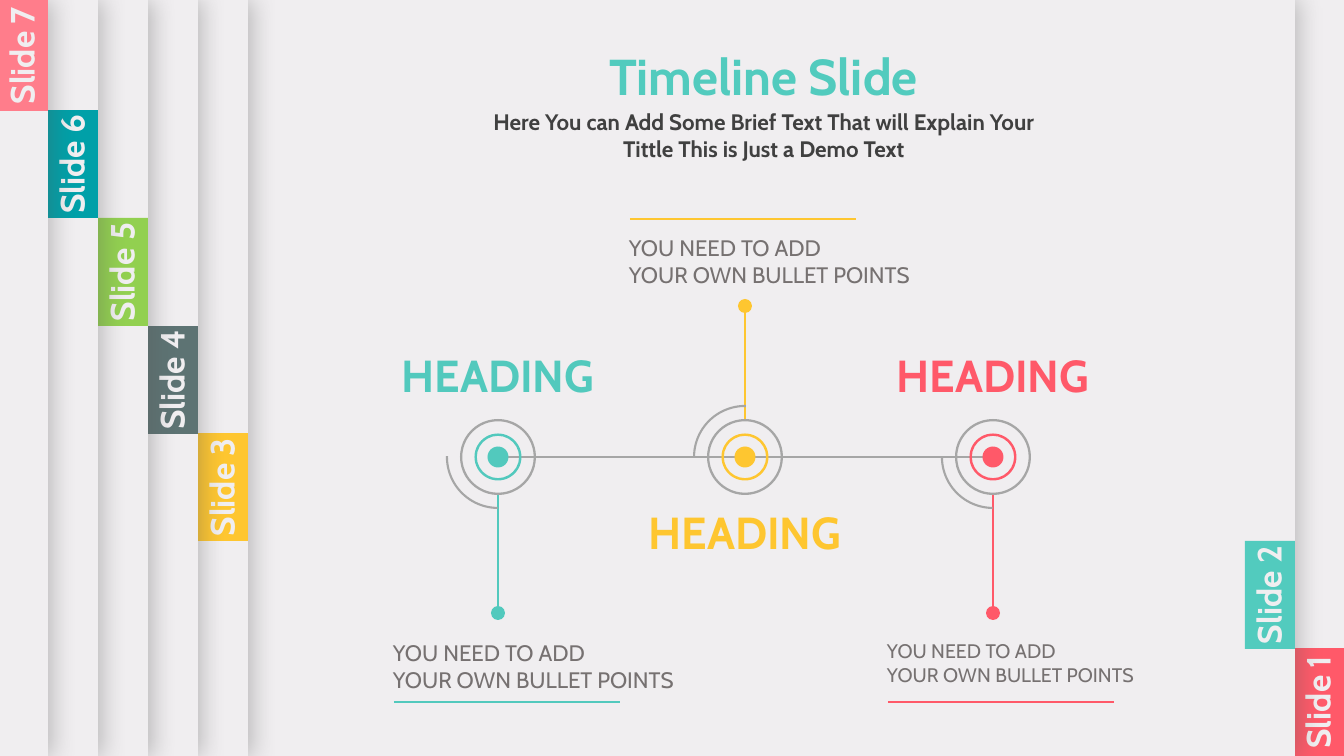
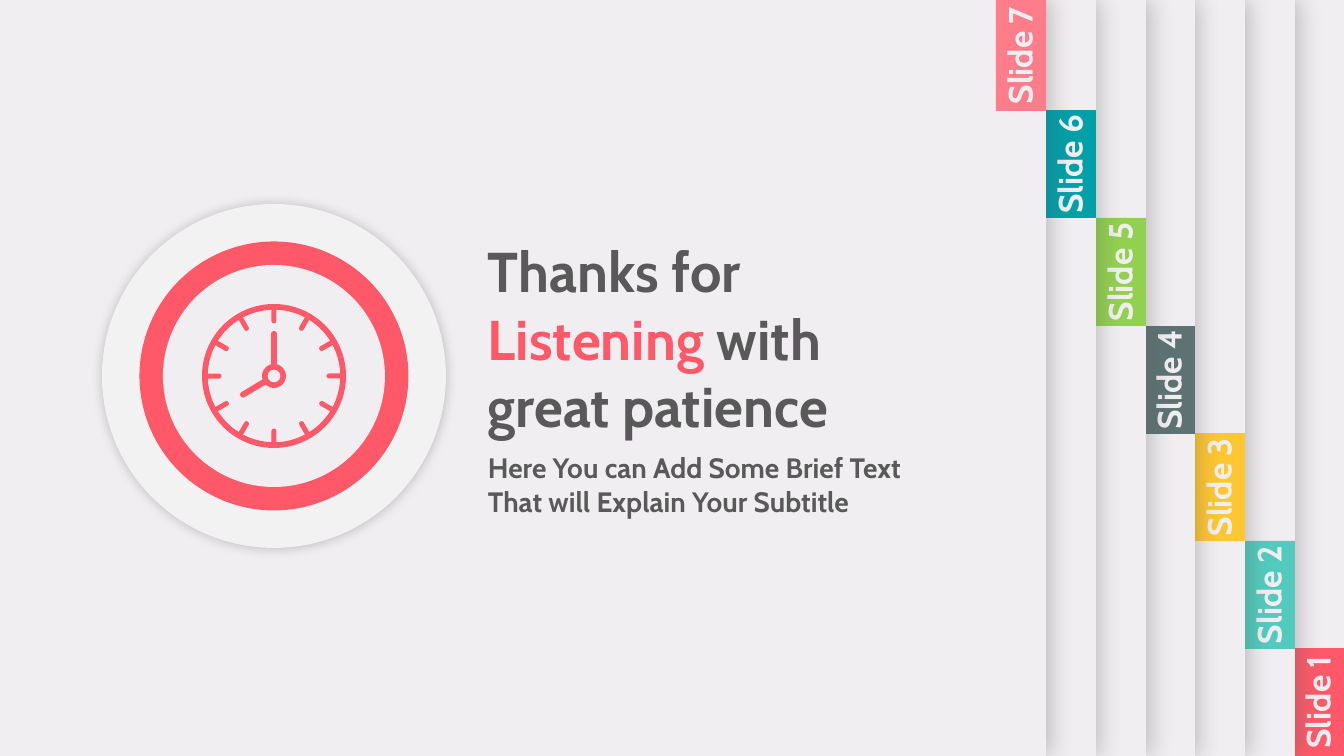
from math import cos, radians, sin

from lxml.etree import SubElement as Sub
from pptx import Presentation
from pptx.dml.color import RGBColor
from pptx.enum.shapes import MSO_CONNECTOR as Link, MSO_SHAPE as Kind
from pptx.enum.text import MSO_AUTO_SIZE as Fit, PP_ALIGN as Align
from pptx.oxml.ns import qn
from pptx.util import Pt

PX = 914400 / 100.8
FONT = "Cabin"
PALE, GREY, DARK = "F0EEF0", "A6A6A6", "595959"
TEAL, GOLD, RED = "52C9BD", "FEC630", "FF5969"
TABS = [RED, "52CBBE", GOLD, "5D7373", "92D050", "00A0A8", "FF7D8B"]

hue = RGBColor.from_string


def draw(page, kind, x, y, w, h, fill=None, adj=(), turn=0, shade=None):
    box = [round(n * PX) for n in (x - w / 2, y - h / 2, w, h)]
    form = page.shapes.add_shape(kind, *box)
    form.rotation = turn
    form.shadow.inherit = False
    for i, value in enumerate(adj):
        form.adjustments[i] = value
    if fill:
        form.fill.solid()
        form.fill.fore_color.rgb = hue(fill)
        form.line.fill.background()
    else:
        form.fill.background()
        form.line.color.rgb = hue(GREY)
        form.line.width = Pt(1.5)
    if shade:
        tint, alpha, blur, dist = shade
        glow = Sub(form._element.spPr.find(qn("a:effectLst")), qn("a:outerShdw"),
                   blurRad=str(Pt(blur)), dist=str(Pt(dist)), dir="0",
                   algn="ctr", rotWithShape="0")
        tone = Sub(glow, qn("a:srgbClr"), val=tint)
        Sub(tone, qn("a:alpha"), val=str(alpha * 1000))


def write(page, x, y, w, h, paras, size, bold=True, align=Align.CENTER, turn=0):
    box = page.shapes.add_textbox(*[round(n * PX) for n in (x, y, w, h)])
    box.rotation = turn
    frame = box.text_frame
    frame.word_wrap = True
    frame.auto_size = Fit.SHAPE_TO_FIT_TEXT
    for i, runs in enumerate(paras):
        para = frame.add_paragraph() if i else frame.paragraphs[0]
        para.alignment = align
        for words, tint in runs:
            run = para.add_run()
            run.text = words
            run.font.name = FONT
            run.font.size = Pt(size)
            run.font.bold = bold
            run.font.color.rgb = hue(tint)


deck = Presentation()
deck.slide_width, deck.slide_height = round(1344 * PX), round(756 * PX)
time, thanks = [deck.slides.add_slide(deck.slide_layouts[6]) for _ in range(2)]

for page, last in ((time, 2), (thanks, 7)):
    page.background.fill.solid()
    page.background.fill.fore_color.rgb = hue(PALE)
    for i, tint in enumerate(TABS):
        edge = 1344 - i * 149 // 3 if i < last else 48 + 50 * (6 - i)
        base = 756 - i * 538 // 5
        top = base - 108 if i < 6 else 0
        mid = (top + base) / 2
        draw(page, Kind.RECTANGLE, edge - 688, 378, 1376, 756, PALE,
             shade=(DARK, 35, 17, 3))
        draw(page, Kind.RECTANGLE, edge - 25, mid, 50, base - top, tint)
        write(page, edge - 87, mid - 25, 120, 50,
              [[(f"Slide {i + 1}", PALE)]], 24, turn=270)

AXIS = 457
STEPS = [
    (498, TEAL, 1, 343, 394, 702, 634, 16),
    (745, GOLD, -1, 500, 630, 219, 229, 16),
    (993, RED, 1, 343, 888, 702, 634, 14),
]
lines = [(503, AXIS, 735, AXIS, GREY), (752, AXIS, 983, AXIS, GREY)]
for x, tint, way, head, left, rule, note, size in STEPS:
    lines.append((x, AXIS + way * 152, x, AXIS + way * 38, tint))
    lines.append((left, rule, left + 226, rule, tint))
for *ends, tint in lines:
    line = time.shapes.add_connector(Link.STRAIGHT, *[round(n * PX) for n in ends])
    line.line.color.rgb = hue(tint)
    line.line.width = Pt(1.5)
    Sub(line._element.spPr, qn("a:effectLst"))

for x, tint, way, head, left, rule, note, size in STEPS:
    draw(time, Kind.ARC, x, AXIS, 102, 102, adj=(54.2, 108.53),
         turn=0 if way > 0 else 90)
    draw(time, Kind.OVAL, x, AXIS, 21, 21, tint)
    draw(time, Kind.DONUT, x, AXIS, 47, 47, tint, (0.05,))
    draw(time, Kind.DONUT, x, AXIS, 76, 76, GREY, (0.03,))
    draw(time, Kind.OVAL, x, AXIS + way * 156 - (way < 0) * -5, 14, 14, tint)
    write(time, x - 116, head, 232, 64, [[("HEADING", tint)]], 32)
    write(time, left - 11, note, 353, 64,
          [[("YOU NEED TO ADD", "767171")], [("YOUR OWN BULLET POINTS", "767171")]],
          size, False, Align.LEFT)

write(time, 497, 40, 533, 72, [[("Timeline Slide", "52CBBE")]], 36)
write(time, 461, 103, 606, 64,
      [[("Here You can Add Some Brief Text That will Explain Your "
         "Tittle This is Just a Demo Text", "404040")]], 16)

write(thanks, 478, 232, 486, 214,
      [[("Thanks for ", DARK), ("Listening ", RED), ("with great patience", DARK)]],
      40, align=Align.LEFT)
write(thanks, 478, 446, 486, 78,
      [[("Here You can Add Some Brief Text That will Explain Your Subtitle", DARK)]],
      20, align=Align.LEFT)

CX, CY = 274, 376
draw(thanks, Kind.OVAL, CX, CY, 344, 344, "F2F2F2", shade=("000000", 20, 8, 0))
draw(thanks, Kind.OVAL, CX, CY, 269, 269, RED)
draw(thanks, Kind.OVAL, CX, CY, 222, 222, PALE)
draw(thanks, Kind.DONUT, CX, CY, 144, 144, RED, (0.04,))
draw(thanks, Kind.DONUT, CX, CY, 24, 24, RED, (0.23,))
ticks = [(30 * i, Kind.ROUNDED_RECTANGLE, 5, 17, 61, (0.5,)) for i in range(12)]
hands = [(turn, Kind.ROUND_2_SAME_RECTANGLE, 6, long, far, (0.5, 0))
         for turn, long, far in ((239, 30, 24), (0, 34, 28))]
for turn, kind, wide, long, far, adj in ticks + hands:
    x = CX + far * sin(radians(turn))
    y = CY - far * cos(radians(turn))
    draw(thanks, kind, x, y, wide, long, RED, adj, turn)

deck.save("out.pptx")
